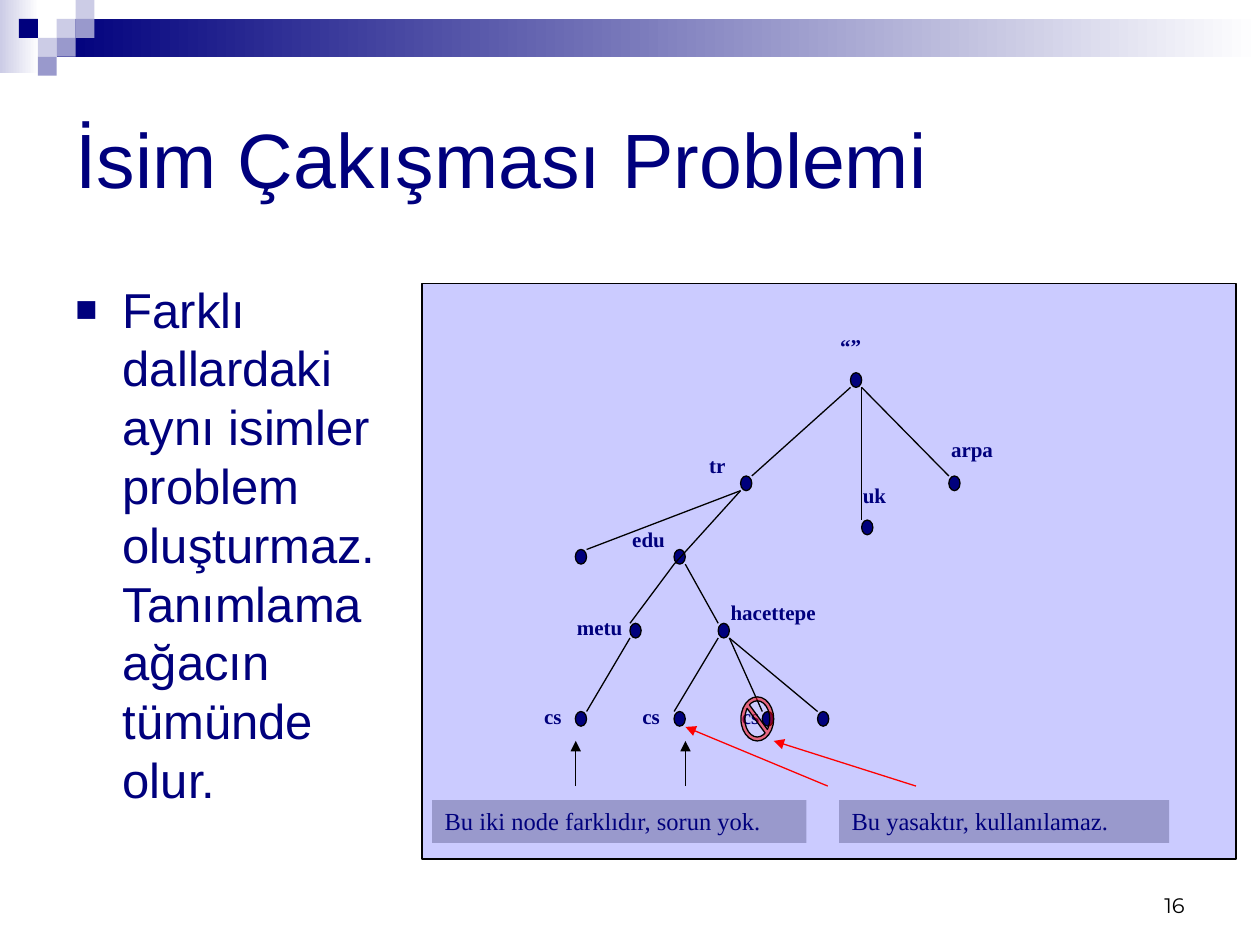
from dataclasses import dataclass
from typing import NamedTuple

from lxml.etree import SubElement
from pptx import Presentation
from pptx.dml.color import RGBColor
from pptx.enum.shapes import MSO_CONNECTOR, MSO_SHAPE
from pptx.enum.text import MSO_ANCHOR, PP_ALIGN
from pptx.oxml.ns import qn
from pptx.util import Pt


@dataclass(frozen=True)
class Theme:
    navy: str = "00007D"
    mid: str = "9999CC"
    pale: str = "CCCCE6"
    panel: str = "9999FF"
    white: str = "FFFFFF"
    black: str = "000000"
    red: str = "FF0000"
    sans: str = "Arial"
    serif: str = "Times New Roman"
    digit: str = "Montserrat"
    title: float = 44
    body: float = 28
    lead: float = 33.6
    note: float = 14
    small: float = 12
    rule: float = 0.75


class Box(NamedTuple):
    x: float
    y: float
    w: float
    h: float


class Point(NamedTuple):
    x: float
    y: float


class Label(NamedTuple):
    text: str
    box: Box


class Edge(NamedTuple):
    start: str
    exit: Point
    end: str
    entry: Point


class Arrow(NamedTuple):
    start: Point
    end: Point
    color: str


look = Theme()
deck = Presentation()
deck.slide_width, deck.slide_height = Pt(720), Pt(540)
slide = deck.slides.add_slide(deck.slide_layouts[6])


def tint(code: str) -> RGBColor:
    return RGBColor.from_string(code)


def fade(shape) -> None:
    color = shape.fill._xPr.find(qn("a:solidFill"))[0]
    SubElement(color, qn("a:alpha"), val="50000")


def draw(kind, box: Box, fill: str, edge: bool = False, end: str = ""):
    shape = slide.shapes.add_shape(kind, *map(Pt, box))
    shape.shadow.inherit = False
    if end:
        shape.fill.gradient()
        shape.fill.gradient_angle = 0
        for stop, code in zip(shape.fill.gradient_stops, (fill, end)):
            stop.color.rgb = tint(code)
    else:
        shape.fill.solid()
        shape.fill.fore_color.rgb = tint(fill)
    if edge:
        shape.line.color.rgb = tint(look.black)
        shape.line.width = Pt(look.rule)
    else:
        shape.line.fill.background()
    return shape


def link(start: Point, end: Point, color: str, head: bool = False) -> None:
    line = slide.shapes.add_connector(
        MSO_CONNECTOR.STRAIGHT, *map(Pt, (*start, *end)))
    line.line.color.rgb = tint(color)
    line.line.width = Pt(look.rule)
    if head:
        SubElement(line.line._get_or_add_ln(), qn("a:tailEnd"), type="triangle")
    SubElement(line._element.spPr, qn("a:effectLst"))


def write(shape, text: str, size: float, face: str, color: str = look.navy,
          bold: bool = False, anchor=MSO_ANCHOR.TOP, align=PP_ALIGN.LEFT):
    frame = shape.text_frame
    frame.word_wrap = True
    frame.vertical_anchor = anchor
    para = frame.paragraphs[0]
    para.alignment = align
    run = para.add_run()
    run.text = text
    run.font.size = Pt(size)
    run.font.name = face
    run.font.bold = bold
    run.font.color.rgb = tint(color)
    return para


def frame(box: Box):
    return slide.shapes.add_textbox(*map(Pt, box))


def mark(para) -> None:
    props = para._p.get_or_add_pPr()
    props.set("marL", str(Pt(27)))
    props.set("indent", str(Pt(-27)))
    color = SubElement(props, qn("a:buClr"))
    SubElement(color, qn("a:srgbClr"), val=look.navy)
    SubElement(props, qn("a:buSzPct"), val="75000")
    SubElement(props, qn("a:buFont"), typeface=look.sans)
    SubElement(props, qn("a:buChar"), char="■")


RECT = MSO_SHAPE.RECTANGLE
draw(RECT, Box(0, 0, 22.3, 41.8), look.pale, end=look.white)
draw(RECT, Box(32.4, 10.8, 687.6, 21.6), look.navy, end=look.white)
TILE = 10.8
tiles = [(3, 1, look.pale), (4, 0, look.pale), (4, 1, look.mid),
         (2, 2, look.pale), (1, 1, look.navy), (3, 2, look.mid),
         (2, 3, look.mid)]
for col, row, color in tiles:
    draw(RECT, Box(col * TILE, row * TILE, TILE, TILE), color)

write(frame(Box(516, 492, 168, 36)), "16", look.small, look.digit,
      look.black, anchor=MSO_ANCHOR.BOTTOM, align=PP_ALIGN.RIGHT)
write(frame(Box(36, 36, 648, 108)), "İsim Çakışması Problemi",
      look.title, look.sans, anchor=MSO_ANCHOR.MIDDLE)
para = write(
    frame(Box(36, 156, 205.2, 318)),
    "Farklı dallardaki aynı isimler problem oluşturmaz. "
    "Tanımlama ağacın tümünde olur.", look.body, look.sans)
para.line_spacing = Pt(look.lead)
mark(para)

fade(draw(RECT, Box(241.2, 162, 465.2, 329), look.panel, True))

DOT = Point(6.4, 8.4)
nodes = {
    "root": Point(486, 213), "tr": Point(423.2, 272),
    "arpa": Point(542.2, 272), "uk": Point(492.4, 297.2),
    "left": Point(328.8, 314), "edu": Point(385.2, 314),
    "metu": Point(360, 356.2), "hacet": Point(410.4, 356.2),
    "cs one": Point(328.8, 406.6), "cs two": Point(385.2, 406.6),
    "cs three": Point(435.6, 406.6), "right": Point(467.2, 406.6),
}
for spot in nodes.values():
    draw(MSO_SHAPE.OVAL, Box(*spot, *DOT), look.navy, True)

TL, TR, BL, BR = Point(0, 0), Point(1, 0), Point(0, 1), Point(1, 1)


def corner(name: str, side: Point) -> Point:
    spot = nodes[name]
    return Point(spot.x + side.x * DOT.x, spot.y + side.y * DOT.y)


edges = [
    Edge("root", BL, "tr", TR), Edge("root", BR, "arpa", TL),
    Edge("root", BR, "uk", TL), Edge("tr", BL, "left", TR),
    Edge("tr", BL, "edu", BL), Edge("edu", BL, "metu", TL),
    Edge("edu", BR, "hacet", TL), Edge("metu", BL, "cs one", TR),
    Edge("hacet", BL, "cs two", TL), Edge("hacet", BR, "cs three", TL),
    Edge("hacet", BR, "right", TL),
]
for edge in edges:
    link(corner(edge.start, edge.exit), corner(edge.end, edge.entry), look.black)

HIGH = 21.6
labels = [
    Label("“”", Box(473, 187.2, 37.4, HIGH)),
    Label("arpa", Box(536.4, 246.2, 81.4, HIGH)),
    Label("tr", Box(398.2, 254.9, 50.4, HIGH)),
    Label("edu", Box(354.2, 297.4, 87.8, HIGH)),
    Label("hacettepe", Box(410.4, 339.1, 75.6, HIGH)),
    Label("uk", Box(486, 272.2, 81.4, HIGH)),
    Label("metu", Box(322.6, 347.8, 75.6, HIGH)),
    *(Label("cs", Box(x, 398.2, 37.4, HIGH)) for x in (303.8, 360, 416.9)),
]
for label in labels:
    write(frame(label.box), label.text, look.small, look.serif, bold=True)

ban = draw(MSO_SHAPE.NO_SYMBOL, Box(423.4, 398.2, 18.7, 25.2), look.red, True)
ban.adjustments[0] = 0.12
fade(ban)

notes = [
    Label("Bu iki node farklıdır, sorun yok.", Box(247, 457.2, 213.8, 24.5)),
    Label("Bu yasaktır, kullanılamaz.", Box(479.5, 457.2, 188.6, 24.5)),
]
for note in notes:
    write(draw(RECT, note.box, look.mid), note.text, look.note, look.serif)

BASE = 449.2
arrows = [
    Arrow(Point(391.7, BASE), Point(391.7, 423.4), look.black),
    Arrow(Point(329, BASE), Point(329, 423.4), look.black),
    Arrow(Point(473, BASE), Point(391.7, 415.4), look.red),
    Arrow(Point(523.4, BASE), Point(442.1, 423.4), look.red),
]
for arrow in arrows:
    link(arrow.start, arrow.end, arrow.color, True)

deck.save("out.pptx")
